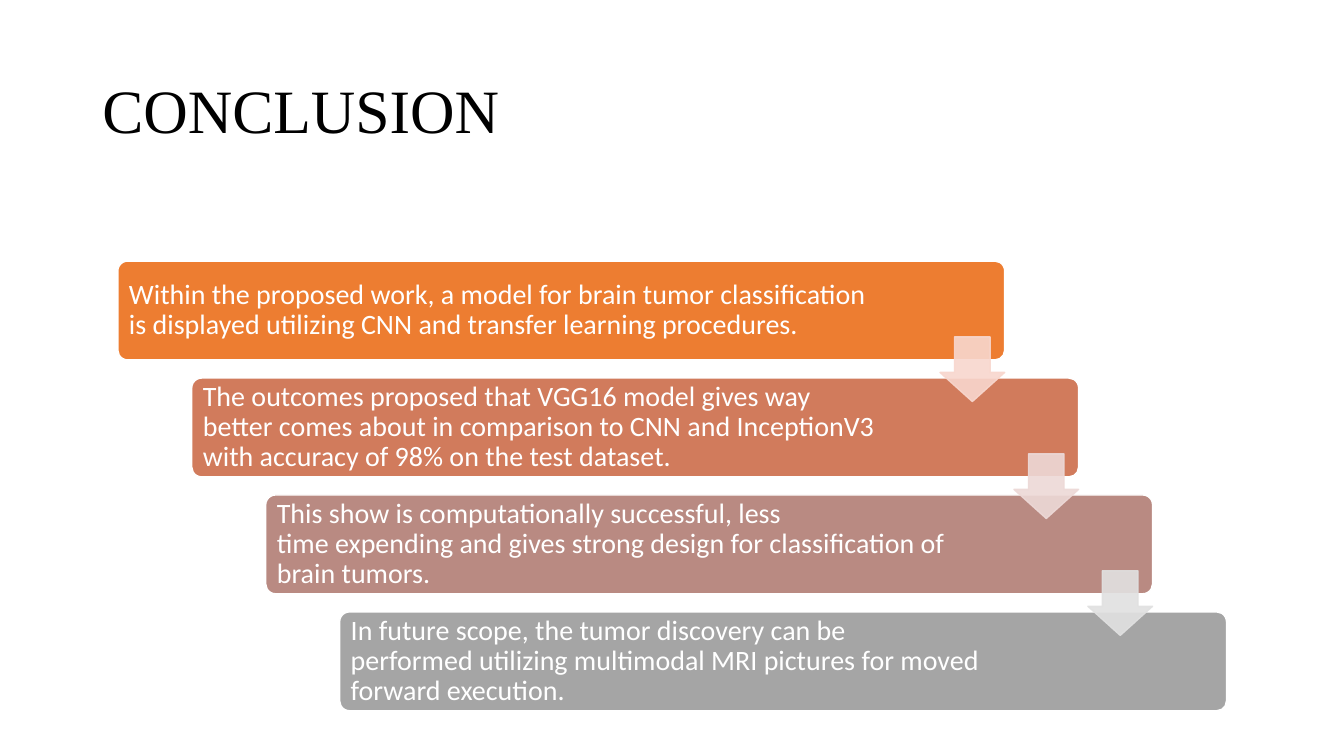
from dataclasses import dataclass

from lxml.etree import SubElement
from pptx import Presentation
from pptx.dml.color import RGBColor
from pptx.enum.shapes import MSO_SHAPE as Shape
from pptx.enum.text import MSO_ANCHOR as Anchor, PP_ALIGN as Align
from pptx.oxml.ns import qn
from pptx.util import Cm, Pt


@dataclass(frozen=True)
class Theme:
    title_font: str = "Times New Roman"
    body_font: str = "Calibri"
    title_size: int = 44
    body_size: int = 20
    title_color: str = "000000"
    on_bar: str = "FFFFFF"
    bars: tuple = ("ED7D31", "D17B5C", "B98A82", "A5A5A5")
    arrows: tuple = ("F8D7CE", "EDD9D7", "E1E1E1")
    arrow_opacity: int = 90


THEME = Theme()

# An underscore stands for a no-break space.
NO_BREAK_SPACE = chr(160)
CONCLUSIONS = [
    "Within the_proposed work, a_model_for brain tumor classification "
    "is_displayed_utilizing_CNN and_transfer_learning_procedures.",
    "The_outcomes_proposed_that VGG16_model_gives_way "
    "better_comes about_in comparison to CNN and InceptionV3 "
    "with_accuracy_of 98% on the test dataset.",
    "This_show_is computationally_successful, less "
    "time_expending_and_gives_strong_design_for classification of "
    "brain tumors.",
    "In future scope, the tumor_discovery_can be "
    "performed_utilizing_multimodal MRI_pictures_for_moved "
    "forward_execution.",
]


def add_text(slide, box, text, font, size, color, insets):
    """Add a left-aligned, vertically centred paragraph; insets are (x, y) in cm."""
    frame = slide.shapes.add_textbox(*map(Cm, box)).text_frame
    frame.word_wrap = True
    frame.vertical_anchor = Anchor.MIDDLE
    frame.margin_left = frame.margin_right = Cm(insets[0])
    frame.margin_top = frame.margin_bottom = Cm(insets[1])
    paragraph = frame.paragraphs[0]
    paragraph.text = text
    paragraph.alignment = Align.LEFT
    paragraph.line_spacing = 0.9
    paragraph.font.name = font
    paragraph.font.size = Pt(size)
    paragraph.font.color.rgb = RGBColor.from_string(color)


def add_block(slide, preset, box, adjustments, fill, line, opacity=100):
    block = slide.shapes.add_shape(preset, *map(Cm, box))
    block.shadow.inherit = False
    for index, value in enumerate(adjustments):
        block.adjustments[index] = value
    block.fill.solid()
    block.fill.fore_color.rgb = RGBColor.from_string(fill)
    block.line.color.rgb = RGBColor.from_string(line)
    block.line.width = Pt(1)
    if opacity < 100:
        for color in block.element.spPr.iter(qn("a:srgbClr")):
            SubElement(color, qn("a:alpha"), val=str(opacity * 1000))


def add_title(slide, box):
    add_text(slide, box, "CONCLUSION", THEME.title_font, THEME.title_size,
             THEME.title_color, (0.25, 0.13))


def add_staircase(slide, box):
    """Step the bars down from top left to bottom right, with arrows between."""
    left, top, width, height = box
    bar_width, bar_height, arrow_size, edge = 22.35, 2.49, 1.63, 0.08
    last = len(CONCLUSIONS) - 1
    step_x = (width - bar_width) / last
    step_y = (height - bar_height) / last
    corners = [(left + i * step_x, top + i * step_y) for i in range(last + 1)]

    for i, ((x, y), conclusion) in enumerate(zip(corners, CONCLUSIONS)):
        add_block(slide, Shape.ROUNDED_RECTANGLE, (x, y, bar_width, bar_height),
                  [0.1], THEME.bars[i], THEME.on_bar)
        text_width = 19.46 if i == 0 else 18.72
        add_text(slide, (x + edge, y + edge, text_width, bar_height - 2 * edge),
                 conclusion.replace("_", NO_BREAK_SPACE), THEME.body_font,
                 THEME.body_size, THEME.on_bar, (0.2, 0.2))

    for (x, y), color in zip(corners, THEME.arrows):
        arrow_box = (x + bar_width - arrow_size, y + 1.91, arrow_size, arrow_size)
        add_block(slide, Shape.DOWN_ARROW, arrow_box, [0.55, 0.45],
                  color, color, THEME.arrow_opacity)


def main():
    deck = Presentation()
    deck.slide_width, deck.slide_height = Cm(33.87), Cm(19.05)
    slide = deck.slides.add_slide(deck.slide_layouts[6])
    add_title(slide, (2.33, 1.02, 29.21, 3.68))
    add_staircase(slide, (2.97, 6.58, 27.94, 11.33))
    deck.save("out.pptx")


if __name__ == "__main__":
    main()
